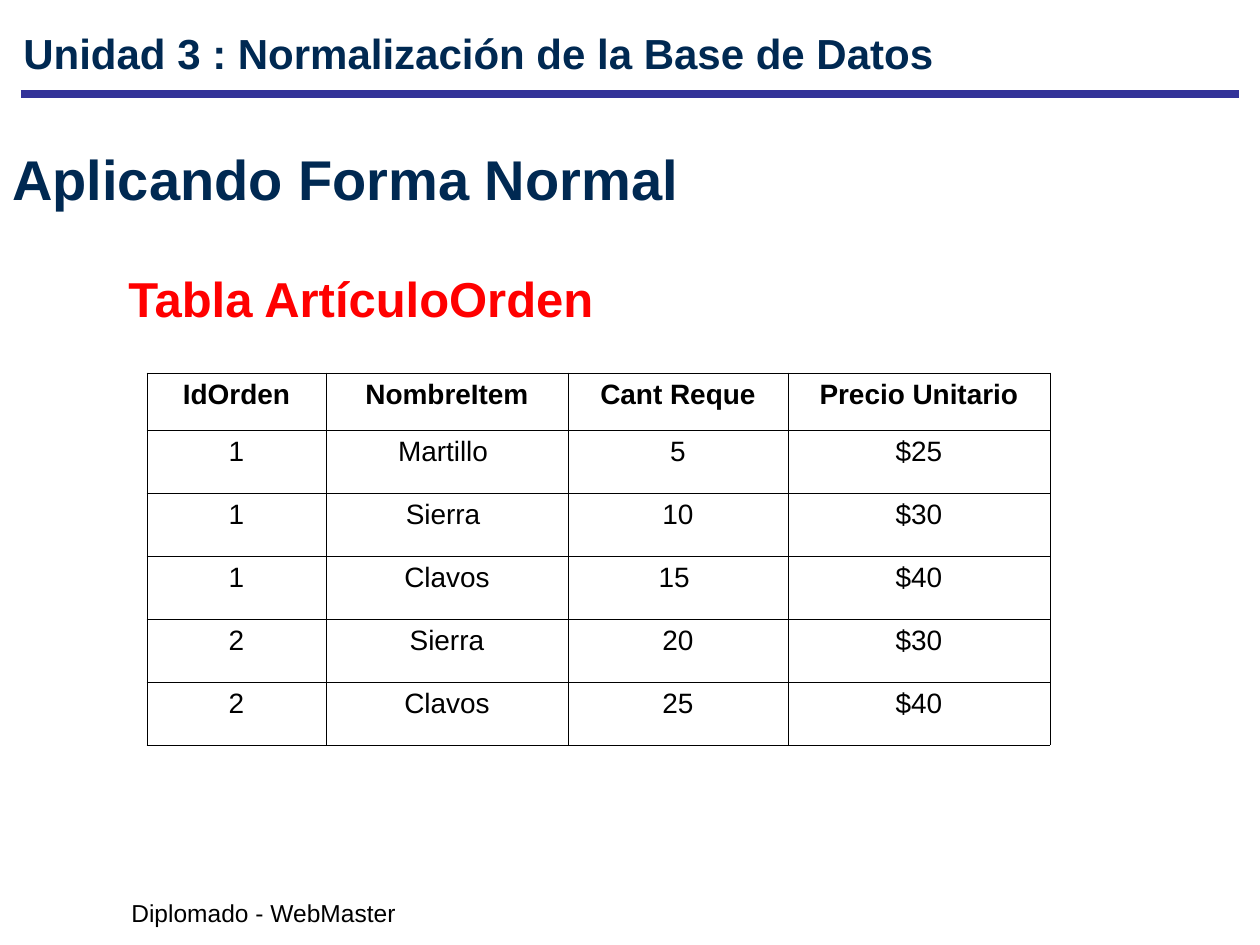
from lxml import etree
from pptx import Presentation
from pptx import util as u
from pptx.dml.color import RGBColor
from pptx.enum import shapes, text
from pptx.oxml import ns

NAVY = RGBColor(0x00, 0x29, 0x52)
INDIGO = RGBColor(0x33, 0x33, 0x99)
RED = RGBColor(0xFF, 0x00, 0x00)
BLACK = RGBColor(0x00, 0x00, 0x00)
FONT = "Arial"

ORDER_ITEMS = [
    ["IdOrden", "NombreItem", "Cant Reque", "Precio Unitario"],
    ["1", "Martillo ", "5", "$25"],
    ["1", "Sierra ", "10", "$30"],
    ["1", "Clavos", "15 ", "$40"],
    ["2", "Sierra", "20", "$30"],
    ["2", "Clavos", "25", "$40"],
]
COLUMN_WIDTHS = [179, 242, 220, 262]
HEADER_HEIGHT, ROW_HEIGHT = 57, 63


def px(length):
    return u.Emu(round(length * 914400 / 126))


def style_text(frame, size, color, bold=False, align=None):
    para = frame.paragraphs[0]
    para.alignment = align
    for span in para.runs:
        span.font.name = FONT
        span.font.size = u.Pt(size)
        span.font.bold = bold
        span.font.color.rgb = color


def add_label(page, box, words, size, color, bold=True, wrap=True,
              anchor=text.MSO_ANCHOR.TOP, align=None):
    frame = page.shapes.add_textbox(*map(px, box)).text_frame
    frame.word_wrap = wrap
    if not wrap:
        frame.auto_size = text.MSO_AUTO_SIZE.SHAPE_TO_FIT_TEXT
    frame.vertical_anchor = anchor
    frame.text = words
    style_text(frame, size, color, bold, align)


def add_header(page, box):
    left, top, width, height = box
    rule_top = px(top + height)
    rule = page.shapes.add_connector(
        shapes.MSO_CONNECTOR.STRAIGHT, px(left), rule_top, px(left + width), rule_top)
    rule.line.color.rgb = INDIGO
    rule.line.width = u.Pt(4.5)
    etree.SubElement(rule._element.spPr, ns.qn("a:effectLst"))
    add_label(page, (left - 10, top, 997, height),
              "Unidad 3 : Normalización de la Base de Datos", 24, NAVY)


def set_borders(cell):
    properties = cell._tc.get_or_add_tcPr()
    for position, side in enumerate(("lnL", "lnR", "lnT", "lnB")):
        border = etree.Element(ns.qn("a:" + side), w=str(u.Pt(0.45)))
        fill = etree.SubElement(border, ns.qn("a:solidFill"))
        etree.SubElement(fill, ns.qn("a:srgbClr"), val=str(BLACK))
        properties.insert(position, border)


def add_order_table(page, box):
    grid = page.shapes.add_table(
        len(ORDER_ITEMS), len(COLUMN_WIDTHS), *map(px, box)).table
    grid.first_row = grid.horz_banding = False
    for column, width in zip(grid.columns, COLUMN_WIDTHS):
        column.width = px(width)
    for index, values in enumerate(ORDER_ITEMS):
        is_header = index == 0
        grid.rows[index].height = px(HEADER_HEIGHT if is_header else ROW_HEIGHT)
        for column, value in enumerate(values):
            cell = grid.cell(index, column)
            cell.text_frame.text = value
            style_text(cell.text_frame, 16, BLACK, is_header, text.PP_ALIGN.CENTER)
            cell.fill.background()
            set_borders(cell)


def add_body(page, box):
    left, top, width, height = box
    add_label(page, (left, top, 1071, 63), "Aplicando Forma Normal", 32, NAVY,
              anchor=text.MSO_ANCHOR.MIDDLE)
    add_label(page, (left + 116, top + 115, 495, 72), "Tabla ArtículoOrden", 28, RED,
              wrap=False)
    table_height = HEADER_HEIGHT + ROW_HEIGHT * (len(ORDER_ITEMS) - 1)
    add_order_table(page, (left + 147, top + 226, sum(COLUMN_WIDTHS), table_height))


def add_footer(page, box):
    add_label(page, box, "Diplomado - WebMaster", 14, BLACK, bold=False, wrap=False,
              align=text.PP_ALIGN.JUSTIFY)


def main():
    deck = Presentation()
    deck.slide_width, deck.slide_height = px(1260), px(945)
    page = deck.slides.add_slide(deck.slide_layouts[6])
    add_header(page, (21, 21, 1218, 73))
    add_body(page, (0, 147, 1260, 745))
    add_footer(page, (119, 892, 290, 43))
    deck.save("out.pptx")


if __name__ == "__main__":
    main()
